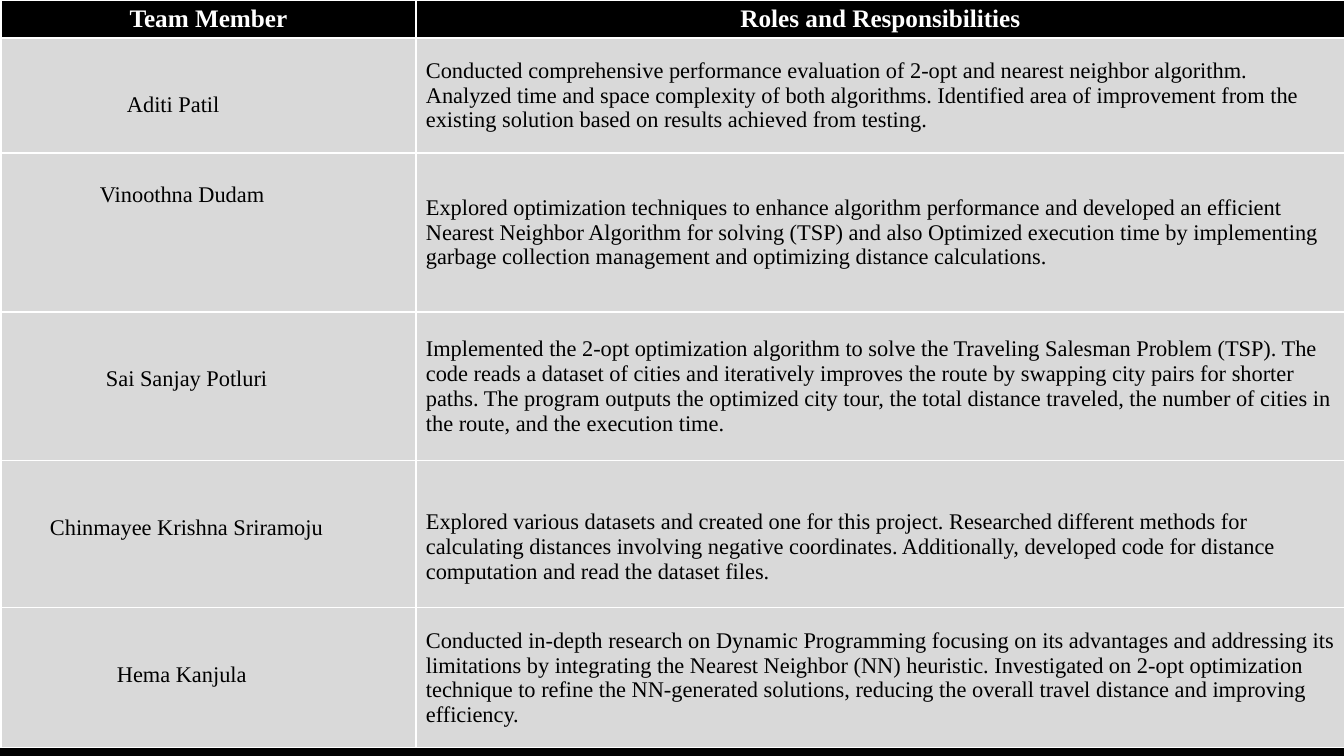
from lxml.etree import SubElement
from pptx import Presentation
from pptx.dml.color import RGBColor
from pptx.enum.text import MSO_ANCHOR, PP_ALIGN
from pptx.oxml.ns import qn
from pptx.util import Pt

BLACK, WHITE, GRAY = "000000", "FFFFFF", "D9D9D9"
COLUMNS = (415, 929)
ROWS = (38, 115, 159, 149, 147, 140)
HEADERS = ("Team Member", "Roles and Responsibilities")
PAD, LINE = 5, 25

# name, name indent, lines above name, role, lines above role
MEMBERS = (
    ("Aditi Patil", 126, 2,
     "Conducted comprehensive performance evaluation of 2-opt and nearest neighbor algorithm. "
     "Analyzed time and space complexity of both algorithms. Identified area of improvement "
     "from the existing solution based on results achieved from testing.", 0),
    ("Vinoothna Dudam", 99, 1,
     "Explored optimization techniques to enhance algorithm performance and developed an "
     "efficient Nearest Neighbor Algorithm for solving (TSP) and also Optimized execution time "
     "by implementing garbage collection management and optimizing distance calculations.", 0),
    ("Sai Sanjay Potluri", 105, 2,
     "Implemented the 2-opt optimization algorithm to solve the Traveling Salesman Problem "
     "(TSP). The code reads a dataset of cities and iteratively improves the route by swapping "
     "city pairs for shorter paths. The program outputs the optimized city tour, the total "
     "distance traveled, the number of cities in the route, and the execution time.", 0),
    ("Chinmayee Krishna Sriramoju", 49, 2,
     "Explored various datasets and created one for this project. Researched different methods "
     "for calculating distances involving negative coordinates. Additionally, developed code "
     "for distance computation and read the dataset files.", 1),
    ("Hema Kanjula", 116, 2,
     "Conducted in-depth research on Dynamic Programming focusing on its advantages and "
     "addressing its limitations by integrating the Nearest Neighbor (NN) heuristic. "
     "Investigated on 2-opt optimization technique to refine the NN-generated solutions, "
     "reducing the overall travel distance and improving efficiency.", 0),
)


def px(n):
    return round(n * 914400 / 100.8)


def rgb(color):
    return RGBColor.from_string(color)


class Deck:
    """Holds the text style and the current slide."""

    def __init__(self, width, height, font):
        self.prs = Presentation()
        self.prs.slide_width, self.prs.slide_height = px(width), px(height)
        self.font = font

    def slide(self, color):
        self.s = self.prs.slides.add_slide(self.prs.slide_layouts[6])
        fill = self.s.background.fill
        fill.solid()
        fill.fore_color.rgb = rgb(color)

    def table(self, x, y, columns, rows):
        frame = self.s.shapes.add_table(len(rows), len(columns), px(x), px(y),
                                        px(sum(columns)), px(sum(rows)))
        tbl = frame.table
        tbl.first_row = tbl.horz_banding = False
        for col, width in zip(tbl.columns, columns):
            col.width = px(width)
        for row, height in zip(tbl.rows, rows):
            row.height = px(height)
        return tbl

    def borders(self, cell, color, width):
        tcPr = cell._tc.get_or_add_tcPr()
        for side in ("lnL", "lnR", "lnT", "lnB"):
            ln = SubElement(tcPr, qn(f"a:{side}"), w=str(Pt(width)))
            SubElement(SubElement(ln, qn("a:solidFill")), qn("a:srgbClr"), val=color)

    def cell(self, cell, text, fill, color=BLACK, size=16, bold=False,
             align=PP_ALIGN.LEFT, anchor=MSO_ANCHOR.TOP, left=10, top=PAD):
        self.borders(cell, WHITE, 1)
        cell.fill.solid()
        cell.fill.fore_color.rgb = rgb(fill)
        cell.vertical_anchor = anchor
        cell.margin_left, cell.margin_top = px(left), px(top)
        cell.margin_right, cell.margin_bottom = px(10), px(PAD)
        p = cell.text_frame.paragraphs[0]
        p.alignment = align
        r = p.add_run()
        r.text = text
        r.font.name, r.font.size, r.font.bold = self.font, Pt(size), bold
        r.font.color.rgb = rgb(color)


def main():
    deck = Deck(1344, 756, "Times New Roman")
    deck.slide(BLACK)
    tbl = deck.table(1, 0, COLUMNS, ROWS)
    for col, header in enumerate(HEADERS):
        deck.cell(tbl.cell(0, col), header, BLACK, WHITE, 18, True, PP_ALIGN.CENTER)
    for row, (name, indent, name_lines, role, role_lines) in enumerate(MEMBERS, 1):
        deck.cell(tbl.cell(row, 0), name, GRAY, left=indent, top=PAD + LINE * name_lines)
        deck.cell(tbl.cell(row, 1), role, GRAY, anchor=MSO_ANCHOR.MIDDLE,
                  top=PAD + LINE * role_lines)
    deck.prs.save("out.pptx")


if __name__ == "__main__":
    main()
